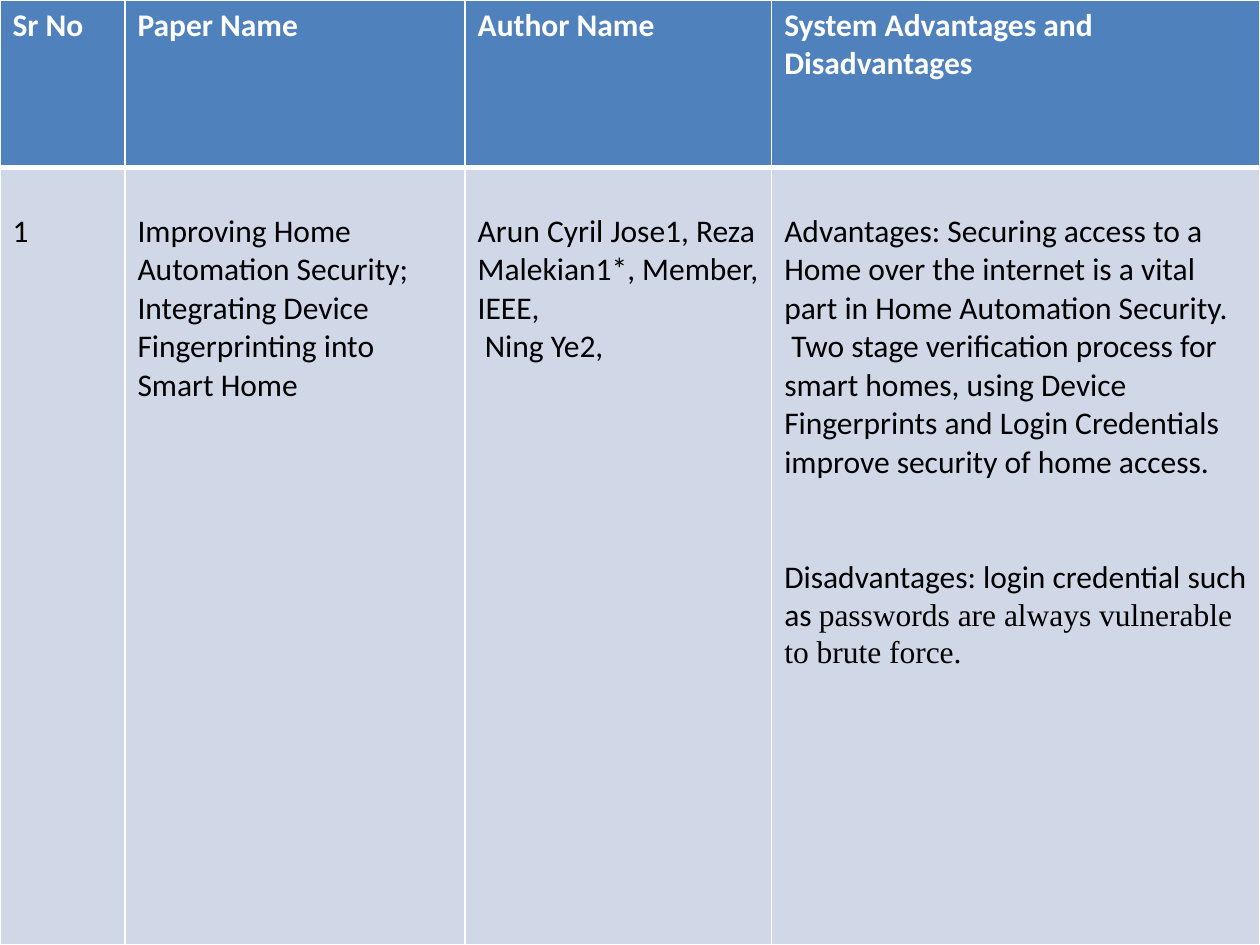
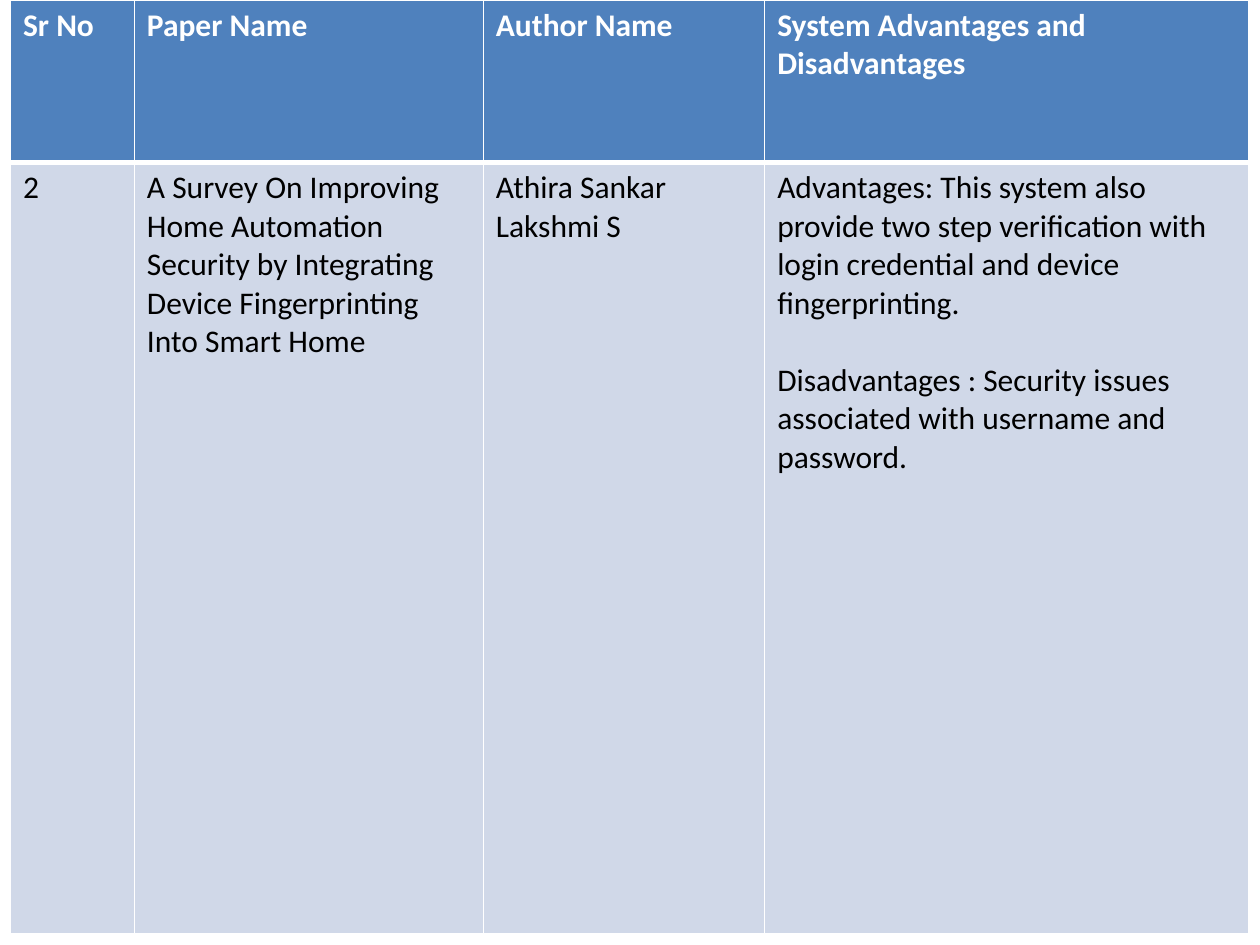
from lxml import etree
from pptx import Presentation
from pptx.dml.color import RGBColor
from pptx.oxml.ns import qn
from pptx.util import Pt

# Shared look
WHITE = RGBColor(0xFF, 0xFF, 0xFF)
BLACK = RGBColor(0x00, 0x00, 0x00)
HEADER_BLUE = RGBColor(0x4F, 0x81, 0xBD)
BODY_BLUE = RGBColor(0xD0, 0xD8, 0xE8)
BODY_FONT = "Calibri"
SERIF_FONT = "Times New Roman"
TEXT_SIZE = Pt(18)
LINE = 22  # height of one text line
CELL_INSET = 3.6
THIN, THICK = 1, 3

HEADINGS = ["Sr No", "Paper Name", "Author Name",
            "System Advantages and Disadvantages"]


def set_borders(cell, top, bottom):
    """Draw white cell borders; the sides are always thin."""
    tcPr = cell._tc.get_or_add_tcPr()
    widths = {"lnL": THIN, "lnR": THIN, "lnT": top, "lnB": bottom}
    for tag, width in widths.items():
        ln = etree.SubElement(tcPr, qn(f"a:{tag}"), w=str(Pt(width)))
        fill = etree.SubElement(ln, qn("a:solidFill"))
        etree.SubElement(fill, qn("a:srgbClr"), val=str(WHITE))


def add_run(p, text, color, bold, font=BODY_FONT):
    r = p.add_run()
    r.text = text
    r.font.name = font
    r.font.size = TEXT_SIZE
    r.font.bold = bold
    r.font.color.rgb = color


def fill_cell(cell, paragraphs, fill, color, bold=False, gap=0):
    """Write paragraphs; gap is the space above the last of several."""
    cell.fill.solid()
    cell.fill.fore_color.rgb = fill
    tf = cell.text_frame
    for i, text in enumerate(paragraphs):
        p = tf.add_paragraph() if i else tf.paragraphs[0]
        sans, _, serif = text.partition("|")  # "|" starts the serif part
        add_run(p, sans, color, bold)
        if serif:
            add_run(p, serif, color, bold, SERIF_FONT)
    if gap:
        p.space_before = Pt(gap)


def add_paper_slide(prs, left, widths, heights, entry, lead_lines, gap_lines):
    """One slide with a header row and one reviewed paper."""
    s = prs.slides.add_slide(prs.slide_layouts[6])
    table = s.shapes.add_table(2, len(HEADINGS), Pt(left), Pt(0),
                               Pt(sum(widths)), Pt(sum(heights))).table
    table.horz_banding = False
    for row, height in zip(table.rows, heights):
        row.height = Pt(height)

    for i, (width, heading, text) in enumerate(zip(widths, HEADINGS, entry)):
        table.columns[i].width = Pt(width)
        head, body = table.cell(0, i), table.cell(1, i)
        set_borders(head, THIN, THICK)
        set_borders(body, THICK, THIN)
        fill_cell(head, [heading], HEADER_BLUE, WHITE, bold=True)
        is_review = i == len(HEADINGS) - 1
        fill_cell(body, text, BODY_BLUE, BLACK,
                  gap=gap_lines * LINE if is_review else 0)
        body.margin_top = Pt(CELL_INSET + lead_lines * LINE)


def main():
    prs = Presentation()
    prs.slide_width, prs.slide_height = Pt(720), Pt(540)

    # Paper 1
    add_paper_slide(
        prs, 0, [71.4, 194.4, 175.2, 279], [95.8, 444.2],
        [["1"],
         ["Improving Home Automation Security; Integrating Device "
          "Fingerprinting into Smart Home"],
         ["Arun Cyril Jose1, Reza Malekian1*, Member, IEEE,", " Ning Ye2,"],
         ["Advantages: Securing access to a Home over the internet is a "
          "vital part in Home Automation Security.",
          " Two stage verification process for smart homes, using Device "
          "Fingerprints and Login Credentials improve security of home "
          "access.",
          "Disadvantages: login credential such as |passwords are always "
          "vulnerable to brute force."]],
        lead_lines=1, gap_lines=2)

    # Paper 2
    add_paper_slide(
        prs, 6, [70.8, 199.4, 160.8, 276.6], [92.9, 440.9],
        [["2"],
         ["A Survey On Improving Home Automation Security by Integrating "
          "Device Fingerprinting Into Smart Home"],
         ["Athira Sankar Lakshmi S"],
         ["Advantages: This system also provide two step verification with "
          "login credential and device fingerprinting.",
          "Disadvantages : Security issues associated with username and "
          "password."]],
        lead_lines=0, gap_lines=1)

    prs.save("out.pptx")


if __name__ == "__main__":
    main()
